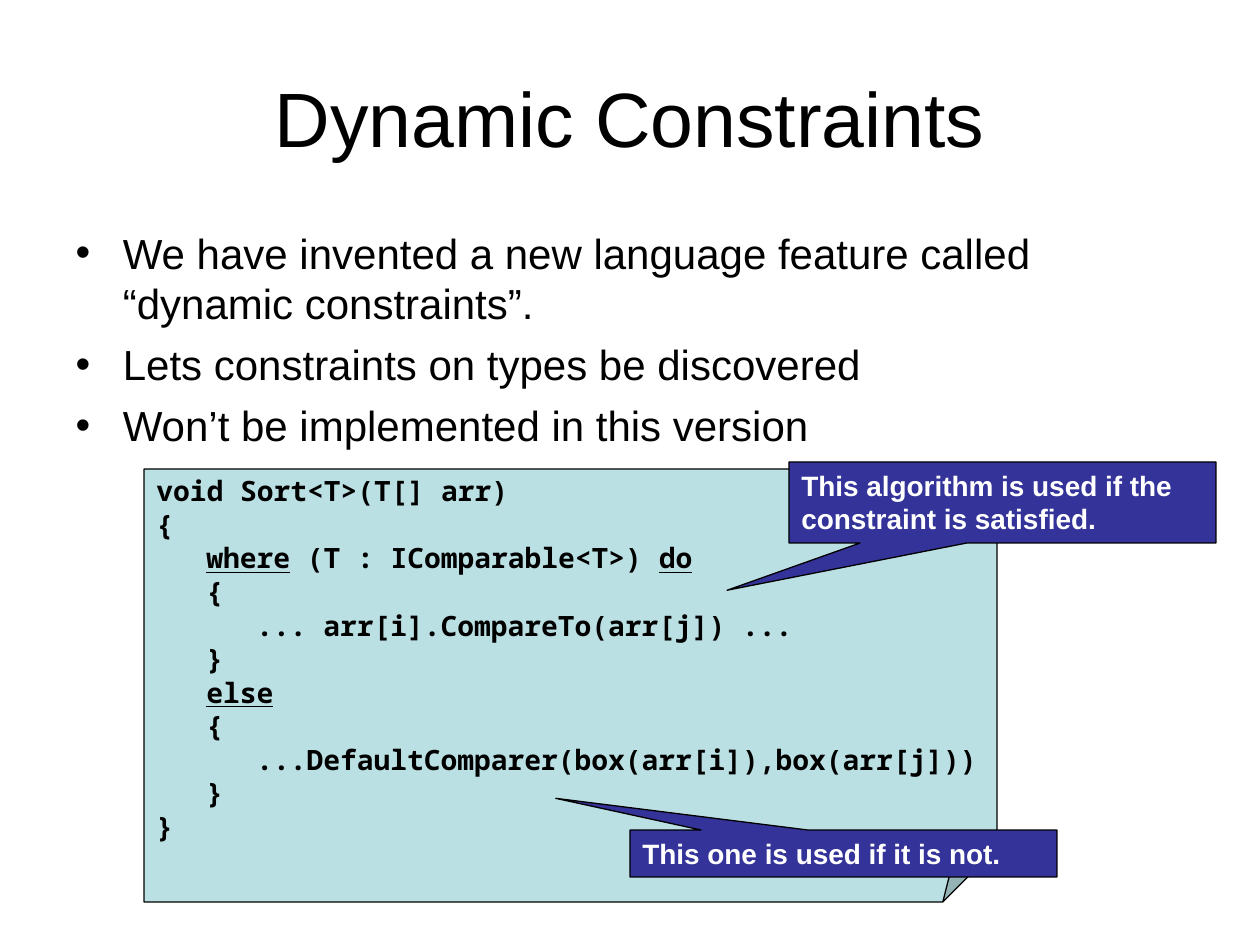
from lxml import etree
from pptx import Presentation
from pptx.dml.color import RGBColor
from pptx.enum.shapes import MSO_SHAPE
from pptx.enum.text import MSO_ANCHOR, MSO_AUTO_SIZE, PP_ALIGN
from pptx.oxml.ns import qn
from pptx.util import Pt

FOLDED_CORNER = MSO_SHAPE.FOLDED_CORNER
CALLOUT = MSO_SHAPE.RECTANGULAR_CALLOUT
TOP, MIDDLE = MSO_ANCHOR.TOP, MSO_ANCHOR.MIDDLE
LEFT, CENTER = PP_ALIGN.LEFT, PP_ALIGN.CENTER
NO_AUTOFIT = MSO_AUTO_SIZE.NONE

TITLE = "Dynamic Constraints"
BULLETS = [
    "We have invented a new language feature called “dynamic constraints”.",
    "Lets constraints on types be discovered",
    "Won’t be implemented in this version",
]
KEYWORDS = {"where", "do", "else"}
# Each line of code: nesting level, then its pieces
CODE = [
    (0, ["void Sort<T>(T[] arr)"]),
    (0, ["{"]),
    (1, ["where", " (T : IComparable<T>) ", "do"]),
    (1, ["{"]),
    (2, ["... arr[i].CompareTo(arr[j]) ..."]),
    (1, ["}"]),
    (1, ["else"]),
    (1, ["{"]),
    (2, ["...DefaultComparer(box(arr[i]),box(arr[j]))"]),
    (1, ["}"]),
    (0, ["}"]),
]
# Each callout: text, box in px, pointer tip in % of the box, from its centre
CALLOUTS = [
    ("This algorithm is used if the constraint is satisfied.",
     (789, 462, 427, 81), {"adj1": -64.5, "adj2": 108.4}),
    ("This one is used if it is not.",
     (630, 830, 427, 47), {"adj1": -67.4, "adj2": -117.5}),
]

TITLE_BOX = (63, 38, 1134, 157)
BODY_BOX = (63, 221, 1134, 624)
CODE_BOX = (144, 469, 853, 433)
CODE_FOLD = {"adj": 12.5}
SLIDE_SIZE = (1260, 945)
EMU_PER_PX = 914400 / 126
CODE_INDENT = 50

BLACK, WHITE = RGBColor(0, 0, 0), RGBColor(255, 255, 255)
THEME = {
    "title": {"name": "Arial", "size": Pt(44), "color": BLACK},
    "body": {"name": "Arial", "size": Pt(24), "color": BLACK},
    "code": {"name": "Noto Sans Mono", "size": Pt(16), "bold": True, "color": BLACK},
    "callout": {"name": "Arial", "size": Pt(16), "bold": True, "color": WHITE},
    "code_fill": RGBColor(0xBB, 0xE0, 0xE3),
    "callout_fill": RGBColor(0x33, 0x33, 0x99),
    "line": BLACK,
}


def emu(px):
    return round(px * EMU_PER_PX)


def place(shape, box):
    for name, value in zip(("left", "top", "width", "height"), box):
        setattr(shape, name, emu(value))


def add_run(paragraph, text, style, underline=None):
    run = paragraph.add_run()
    run.text = text
    for name, value in {**THEME[style], "underline": underline}.items():
        if name == "color":
            run.font.color.rgb = value
        else:
            setattr(run.font, name, value)


def format_frame(frame, anchor):
    settings = {"word_wrap": True, "auto_size": NO_AUTOFIT, "vertical_anchor": anchor}
    for name, value in settings.items():
        setattr(frame, name, value)


def paragraphs(frame, count):
    """Return count paragraphs, the first being the one already there."""
    return [frame.paragraphs[0]] + [frame.add_paragraph() for _ in range(count - 1)]


def fill_placeholder(shape, box, texts, style, anchor, alignment, space_before):
    place(shape, box)
    format_frame(shape.text_frame, anchor)
    for paragraph, text in zip(paragraphs(shape.text_frame, len(texts)), texts):
        paragraph.alignment = alignment
        paragraph.space_before = space_before
        add_run(paragraph, text, style)


def set_guides(shape, guides):
    """Set the adjustments by name, as not every preset lists its own."""
    values = next(shape._element.iter(qn("a:avLst")))
    for name, percent in guides.items():
        formula = f"val {round(percent * 1000)}"
        etree.SubElement(values, qn("a:gd"), name=name, fmla=formula)


def add_box(slide, kind, box, fill, guides, anchor):
    shape = slide.shapes.add_shape(kind, *map(emu, box))
    shape.shadow.inherit = False
    shape.fill.solid()
    shape.fill.fore_color.rgb = fill
    shape.line.color.rgb = THEME["line"]
    shape.line.width = Pt(0.75)
    set_guides(shape, guides)
    format_frame(shape.text_frame, anchor)
    return shape.text_frame


def add_code(slide):
    frame = add_box(slide, FOLDED_CORNER, CODE_BOX, THEME["code_fill"], CODE_FOLD, MIDDLE)
    for paragraph, (level, pieces) in zip(paragraphs(frame, len(CODE)), CODE):
        paragraph.alignment = LEFT
        paragraph._p.get_or_add_pPr().set("marL", str(emu(level * CODE_INDENT)))
        for piece in pieces:
            add_run(paragraph, piece, "code", piece in KEYWORDS)


def add_callout(slide, text, box, tip):
    frame = add_box(slide, CALLOUT, box, THEME["callout_fill"], tip, TOP)
    paragraph = frame.paragraphs[0]
    paragraph.alignment = LEFT
    add_run(paragraph, text, "callout")


def main():
    presentation = Presentation()
    presentation.slide_width, presentation.slide_height = map(emu, SLIDE_SIZE)
    slide = presentation.slides.add_slide(presentation.slide_layouts[1])
    title, body = slide.placeholders
    fill_placeholder(title, TITLE_BOX, [TITLE], "title", MIDDLE, CENTER, Pt(0))
    fill_placeholder(body, BODY_BOX, BULLETS, "body", TOP, LEFT, Pt(6))
    add_code(slide)
    for callout in CALLOUTS:
        add_callout(slide, *callout)
    presentation.save("out.pptx")


if __name__ == "__main__":
    main()
